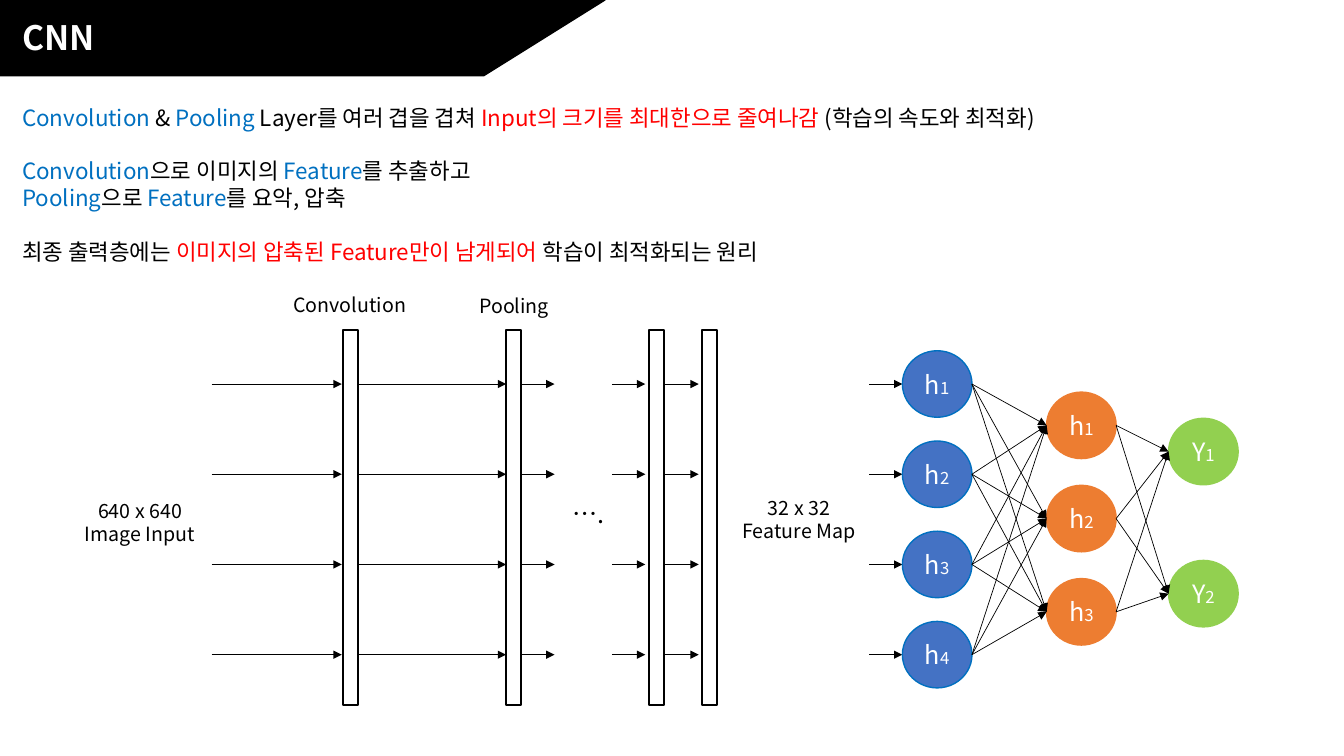
from dataclasses import dataclass
from itertools import product

from lxml import etree
from pptx import Presentation
from pptx.dml.color import RGBColor
from pptx.enum.shapes import MSO_CONNECTOR, MSO_SHAPE
from pptx.enum.text import MSO_ANCHOR, MSO_AUTO_SIZE, PP_ALIGN
from pptx.oxml.ns import qn
from pptx.util import Inches, Pt

RECTANGLE, SLANTED, ELLIPSE = MSO_SHAPE.RECTANGLE, MSO_SHAPE.FLOWCHART_DATA, MSO_SHAPE.OVAL
STRAIGHT = MSO_CONNECTOR.STRAIGHT
LEFT, CENTER = PP_ALIGN.LEFT, PP_ALIGN.CENTER
TOP, MIDDLE = MSO_ANCHOR.TOP, MSO_ANCHOR.MIDDLE
NO_AUTOFIT = MSO_AUTO_SIZE.NONE


@dataclass(frozen=True)
class Theme:
    font: str = "Noto Sans CJK KR"
    black: str = "000000"
    white: str = "FFFFFF"
    blue: str = "0070C0"
    red: str = "FF0000"
    input_fill: str = "4472C4"
    hidden_fill: str = "ED7D31"
    output_fill: str = "92D050"
    title_size: float = 24
    body_size: float = 16
    label_size: float = 14
    node_size: float = 18
    index_size: float = 12
    line_pitch: float = 1.2


THEME = Theme()


@dataclass(frozen=True)
class Run:
    text: str
    color: str = THEME.black
    size: float = THEME.body_size
    bold: bool = False


@dataclass(frozen=True)
class Label:
    lines: tuple[str, ...]
    left: float
    top: float
    width: float
    height: float
    size: float = THEME.label_size


@dataclass(frozen=True)
class Layer:
    letter: str
    count: int
    left: float
    first_center: float
    pitch: float
    fill: str
    line: str

    def centers(self) -> list[float]:
        return [self.first_center + self.pitch * index for index in range(self.count)]


NODE_WIDTH, NODE_HEIGHT = 0.69, 0.66
LAYERS = (
    Layer("h", 4, 8.95, 3.81, 0.895, THEME.input_fill, THEME.blue),
    Layer("h", 3, 10.38, 4.22, 0.925, THEME.hidden_fill, THEME.hidden_fill),
    Layer("Y", 2, 11.59, 4.48, 1.41, THEME.output_fill, THEME.output_fill),
)
BAR_LEFTS = (3.4, 5.02, 6.44, 6.96)
BAR_TOP, BAR_WIDTH, BAR_HEIGHT = 3.27, 0.15, 3.72
ARROW_SPANS = ((2.1, 3.39), (3.56, 5.02), (5.17, 5.5), (6.07, 6.4), (6.6, 6.93), (8.62, 8.95))
LABELS = (
    Label(("Convolution",), 2.7, 2.86, 1.54, 0.34),
    Label(("640 x 640", "Image Input"), 0.62, 4.9, 1.54, 0.57),
    Label(("Pooling",), 4.33, 2.87, 1.54, 0.34),
    Label(("….",), 5.5, 4.89, 0.68, 0.4, THEME.node_size),
    Label(("32 x 32", "Feature Map"), 7.24, 4.87, 1.37, 0.57),
)
TITLE = (Run("CNN", THEME.white, THEME.title_size, True),)
# Each entry: whether a gap comes before the paragraph, then its runs.
BODY = (
    (False, (Run("Convolution", THEME.blue), Run(" & "), Run("Pooling", THEME.blue),
             Run(" Layer를 여러 겹을 겹쳐 "),
             Run("Input의 크기를 최대한으로 줄여나감 ", THEME.red),
             Run("(학습의 속도와 최적화)"))),
    (True, (Run("Convolution", THEME.blue), Run("으로 이미지의 "),
            Run("Feature", THEME.blue), Run("를 추출하고"))),
    (False, (Run("Pooling", THEME.blue), Run("으로 "),
             Run("Feature", THEME.blue), Run("를 요악, 압축"))),
    (True, (Run("최종 출력층에는 "), Run("이미지의 압축된 Feature만이 남게되어", THEME.red),
            Run(" 학습이 최적화되는 원리"))),
)


def set_attributes(target, values: dict) -> None:
    for name, value in values.items():
        setattr(target, name, value)


def place(shape, left: float, top: float, width: float, height: float) -> None:
    set_attributes(shape, {"left": Inches(left), "top": Inches(top),
                           "width": Inches(width), "height": Inches(height)})


def format_frame(frame, anchor=TOP) -> None:
    set_attributes(frame, {"word_wrap": True, "auto_size": NO_AUTOFIT, "vertical_anchor": anchor})


def write_paragraph(paragraph, runs: tuple[Run, ...], alignment=LEFT, gap: bool = False) -> None:
    """Fill a paragraph with runs; a gap is one line of space before it."""
    pitch = Pt(runs[0].size * THEME.line_pitch)
    set_attributes(paragraph, {"alignment": alignment, "line_spacing": pitch,
                               "space_before": pitch if gap else Pt(0), "space_after": Pt(0)})
    for item in runs:
        run = paragraph.add_run()
        run.text = item.text
        set_attributes(run.font, {"size": Pt(item.size), "bold": item.bold, "name": THEME.font})
        run.font.color.rgb = RGBColor.from_string(item.color)
        east_asian = etree.SubElement(run.font._element, qn("a:ea"))
        east_asian.set("typeface", THEME.font)


def remove_bullet(paragraph) -> None:
    properties = paragraph._p.get_or_add_pPr()
    properties.set("marL", "0")
    properties.set("indent", "0")
    etree.SubElement(properties, qn("a:buNone"))


def add_box(slide, preset, left: float, top: float, width: float, height: float,
            fill: str | None, line: str, weight: float = 1):
    shape = slide.shapes.add_shape(preset, Inches(left), Inches(top), Inches(width), Inches(height))
    shape.shadow.inherit = False
    if fill is None:
        shape.fill.background()
    else:
        shape.fill.solid()
        shape.fill.fore_color.rgb = RGBColor.from_string(fill)
    shape.line.color.rgb = RGBColor.from_string(line)
    shape.line.width = Pt(weight)
    return shape


def add_arrow(slide, start: tuple[float, float], end: tuple[float, float]) -> None:
    arrow = slide.shapes.add_connector(STRAIGHT, *(Inches(value) for value in (*start, *end)))
    arrow.line.color.rgb = RGBColor.from_string(THEME.black)
    arrow.line.width = Pt(0.5)
    head = etree.SubElement(arrow.line._get_or_add_ln(), qn("a:tailEnd"))
    head.set("type", "triangle")
    etree.SubElement(arrow._element.spPr, qn("a:effectLst"))


def add_layer(slide, layer: Layer) -> None:
    for number, center in enumerate(layer.centers(), start=1):
        node = add_box(slide, ELLIPSE, layer.left, center - NODE_HEIGHT / 2,
                       NODE_WIDTH, NODE_HEIGHT, layer.fill, layer.line)
        format_frame(node.text_frame, MIDDLE)
        set_attributes(node.text_frame, {"margin_left": 0, "margin_right": 0})
        runs = (Run(layer.letter, THEME.white, THEME.node_size),
                Run(str(number), THEME.white, THEME.index_size))
        write_paragraph(node.text_frame.paragraphs[0], runs, CENTER)


def add_label(slide, label: Label) -> None:
    box = slide.shapes.add_textbox(0, 0, 0, 0)
    place(box, label.left, label.top, label.width, label.height)
    frame = box.text_frame
    format_frame(frame)
    for index, line in enumerate(label.lines):
        paragraph = frame.add_paragraph() if index else frame.paragraphs[0]
        write_paragraph(paragraph, (Run(line, size=label.size),), CENTER)


def add_heading_and_body(slide) -> None:
    title, body = slide.placeholders
    for width, preset in ((1.98, RECTANGLE), (6, SLANTED)):
        add_box(slide, preset, 0, 0, width, 0.75, THEME.black, THEME.black)
    slide.shapes._spTree.append(title._element)  # bring the title above the banner
    place(title, 0.12, 0.12, 3.71, 0.5)
    format_frame(title.text_frame)
    write_paragraph(title.text_frame.paragraphs[0], TITLE)
    place(body, 0.12, 0.98, 12.85, 1.72)
    format_frame(body.text_frame)
    for index, (gap, runs) in enumerate(BODY):
        paragraph = body.text_frame.add_paragraph() if index else body.text_frame.paragraphs[0]
        remove_bullet(paragraph)
        write_paragraph(paragraph, runs, gap=gap)


def main() -> None:
    presentation = Presentation()
    set_attributes(presentation, {"slide_width": Inches(13.33), "slide_height": Inches(7.5)})
    slide = presentation.slides.add_slide(presentation.slide_layouts[1])
    add_heading_and_body(slide)
    for left in BAR_LEFTS:
        add_box(slide, RECTANGLE, left, BAR_TOP, BAR_WIDTH, BAR_HEIGHT, None, THEME.black, 1.5)
    for (start, end), row in product(ARROW_SPANS, LAYERS[0].centers()):
        add_arrow(slide, (start, row), (end, row))
    for layer in LAYERS:
        add_layer(slide, layer)
    for source, target in zip(LAYERS, LAYERS[1:]):
        for start, end in product(source.centers(), target.centers()):
            add_arrow(slide, (source.left + NODE_WIDTH, start), (target.left, end))
    for label in LABELS:
        add_label(slide, label)
    presentation.save("out.pptx")


if __name__ == "__main__":
    main()
